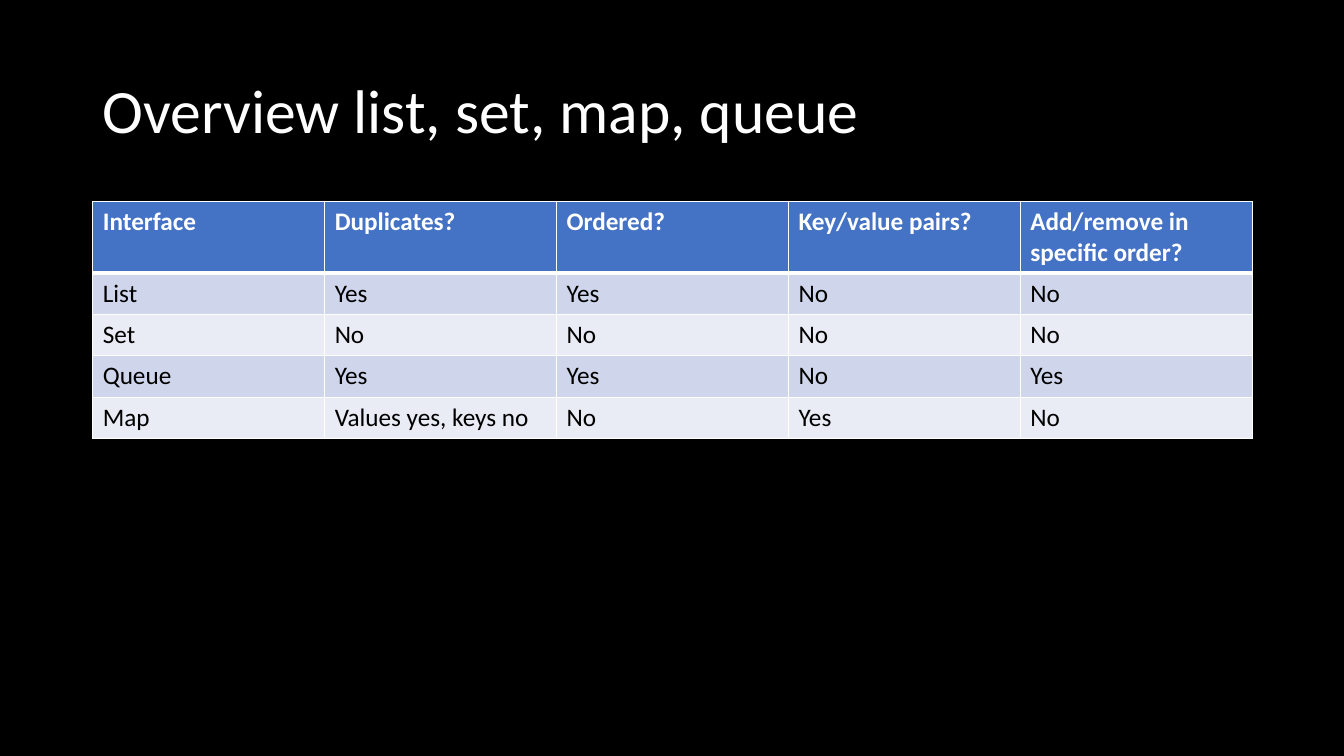
from lxml.etree import SubElement
from pptx import Presentation
from pptx.dml.color import RGBColor
from pptx.enum.text import MSO_ANCHOR, PP_ALIGN
from pptx.oxml.ns import qn
from pptx.util import Inches, Pt

ROWS = [
    ["Interface", "Duplicates?", "Ordered?", "Key/value pairs?",
     "Add/remove in specific order?"],
    ["List", "Yes", "Yes", "No", "No"],
    ["Set", "No", "No", "No", "No"],
    ["Queue", "Yes", "Yes", "No", "Yes"],
    ["Map", "Values yes, keys no", "No", "Yes", "No"],
]
WHITE, BLACK, BLUE = "FFFFFF", "000000", "4472C4"
BANDS = ["E9EBF5", "CFD5EA"]


def paint(target, color):
    """Give a fill a solid colour."""
    target.solid()
    target.fore_color.rgb = RGBColor.from_string(color)


def style(para, size, color, bold=False):
    """Set the font of a paragraph."""
    font = para.font
    font.name, font.size, font.bold = "Calibri", Pt(size), bold
    paint(font.fill, color)


def edge(cell, side, width):
    """Draw a white border on one side of a cell."""
    props = cell._tc.get_or_add_tcPr()
    line = SubElement(props, qn(f"a:ln{side}"), w=str(Pt(width)))
    solid = SubElement(line, qn("a:solidFill"))
    SubElement(solid, qn("a:srgbClr"), val=WHITE)


def add_title(slide, text):
    """Place and format the title."""
    title = slide.shapes.title
    title.left, title.top = Inches(0.92), Inches(0.4)
    title.width, title.height = Inches(11.5), Inches(1.45)
    frame = title.text_frame
    frame.text = text
    frame.vertical_anchor = MSO_ANCHOR.MIDDLE
    para = frame.paragraphs[0]
    para.alignment = PP_ALIGN.LEFT
    para.line_spacing = 0.9
    style(para, 44, WHITE)


def fill_cell(cell, text, row):
    """Write and format one table cell."""
    head = row == 0
    cell.text = text
    style(cell.text_frame.paragraphs[0], 18, WHITE if head else BLACK, head)
    widths = {"L": 1, "R": 1, "T": 3 if row == 1 else 1, "B": 3 if head else 1}
    for side, width in widths.items():
        edge(cell, side, width)
    paint(cell.fill, BLUE if head else BANDS[row % 2])


def add_grid(slide, rows):
    """Add the table with a header and banded rows."""
    table = slide.shapes.add_table(
        len(rows), len(rows[0]), Inches(0.92), Inches(2),
        Inches(11.5), Inches(2.32)).table
    for row, texts in enumerate(rows):
        table.rows[row].height = Inches(0.41 if row else 0.7)
        for col, text in enumerate(texts):
            fill_cell(table.cell(row, col), text, row)


def main():
    """Build and save the slide."""
    deck = Presentation()
    deck.slide_width, deck.slide_height = Inches(13.33), Inches(7.5)
    slide = deck.slides.add_slide(deck.slide_layouts[5])
    paint(slide.background.fill, BLACK)
    add_title(slide, "Overview list, set, map, queue")
    add_grid(slide, ROWS)
    deck.save("out.pptx")


main()
